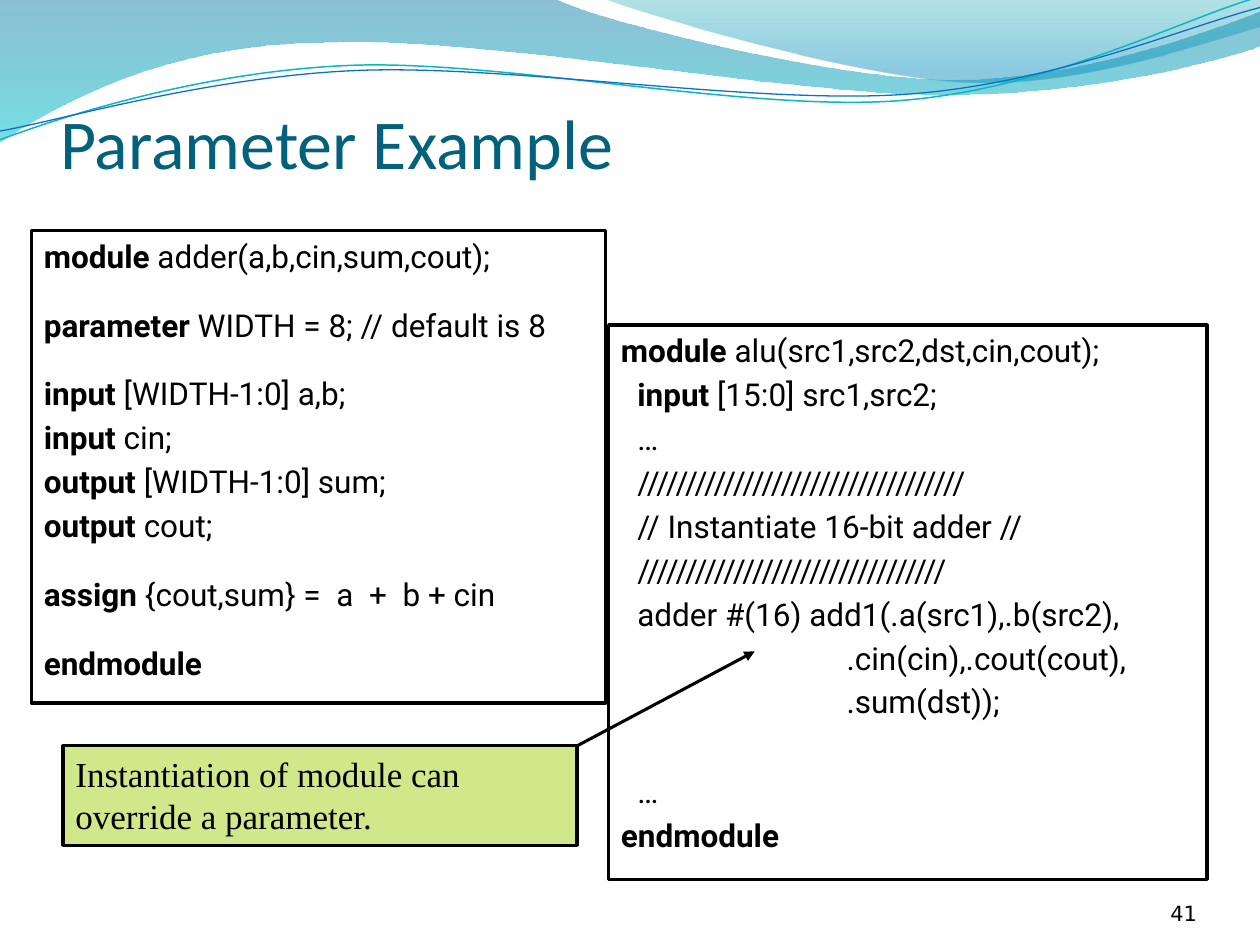
from lxml.etree import SubElement
from pptx import Presentation
from pptx.dml.color import RGBColor
from pptx.enum.shapes import MSO_CONNECTOR, MSO_SHAPE
from pptx.enum.text import MSO_ANCHOR as ANCHOR, PP_ALIGN as ALIGN
from pptx.oxml.ns import qn
from pptx.util import Inches, Pt

BLACK = "000000"
LINE_GAP, SECTION_GAP, BLANK_LINE = 3.5, 17.75, 29.75  # points before a line
INDENT, PORT_INDENT = 0.13, 1.79

# Code lines: bold keyword, rest, left indent, space before
ADDER = [
    ("module", " adder(a,b,cin,sum,cout);", 0, LINE_GAP),
    ("parameter", " WIDTH = 8; // default is 8", 0, SECTION_GAP),
    ("input", " [WIDTH-1:0] a,b;", 0, SECTION_GAP),
    ("input", " cin;", 0, LINE_GAP),
    ("output", " [WIDTH-1:0] sum;", 0, LINE_GAP),
    ("output", " cout;", 0, LINE_GAP),
    ("assign", " {cout,sum} =  a  +  b + cin", 0, SECTION_GAP),
    ("endmodule", "", 0, SECTION_GAP),
]
ALU = [
    ("module", " alu(src1,src2,dst,cin,cout);", 0, LINE_GAP),
    ("input", " [15:0] src1,src2;", INDENT, LINE_GAP),
    ("", "…", INDENT, LINE_GAP),
    ("", "/" * 34, INDENT, LINE_GAP),
    ("", "// Instantiate 16-bit adder //", INDENT, LINE_GAP),
    ("", "/" * 32, INDENT, LINE_GAP),
    ("", "adder #(16) add1(.a(src1),.b(src2),", INDENT, LINE_GAP),
    ("", ".cin(cin),.cout(cout),", PORT_INDENT, LINE_GAP),
    ("", ".sum(dst));", PORT_INDENT, LINE_GAP),
    ("", "…", INDENT, BLANK_LINE),
    ("endmodule", "", 0, LINE_GAP),
]

# Waves: a start point, then steps of one point (line) or three (Bezier curve)
BANDS = [
    ([(0, -0.01), [(4.4, -0.01)],
      [(4.76, 0.17), (6.64, 0.63), (7.58, 0.63)],
      [(8.53, 0.63), (9.58, 0.26), (10, 0.09)], [(10.01, 0.36)],
      [(9.83, 0.44), (8.7, 0.76), (7.46, 0.75)],
      [(6.22, 0.75), (3.82, 0.28), (2.57, 0.34)],
      [(1.29, 0.35), (0.46, 0.83), (-0.01, 1.13)], [(0, -0.01)]],
     [(0, "0074A1", 45), (1, "00C6CF", 55)]),
    ([(4.79, -0.01),
      [(5.09, 0.11), (6.82, 0.62), (7.69, 0.65)],
      [(8.56, 0.69), (9.61, 0.32), (10, 0.21)], [(10, 0)], [(4.79, -0.01)]],
     [(0, "00A1A9", 30), (0.8, "008BBF", 45)]),
]
STRANDS = [
    ([(0, 1.11), [(0.48, 0.93), (1.58, 0.57), (2.77, 0.52)],
      [(3.95, 0.47), (5.93, 0.89), (7.13, 0.8)],
      [(8.33, 0.71), (9.38, 0.15), (9.98, -0.02)]], "0AB8BF", 0.85),
    ([(0, 1.04), [(0.47, 0.96), (1.64, 0.61), (2.83, 0.56)],
      [(4.03, 0.51), (5.97, 0.83), (7.17, 0.75)],
      [(8.36, 0.67), (9.41, 0.21), (10, 0.06)]], "0F6FC6", 0.75),
]


def rgb(color):
    return RGBColor.from_string(color)


def set_alpha(color_element, percent):
    SubElement(color_element, qn("a:alpha"), val=str(percent * 1000))


def set_line(sp, color, width):
    sp.line.color.rgb = rgb(color)
    sp.line.width = Pt(width)


def add_wave(shapes, outline, close):
    """Draw straight segments, then merge each group of three into a curve."""
    start, *steps = outline
    builder = shapes.build_freeform(*map(Inches, start))
    builder.add_line_segments([(Inches(x), Inches(y)) for step in steps for x, y in step],
                              close=close)
    sp = builder.convert_to_shape()
    sp.shadow.inherit = False
    segments = iter(list(sp._element.iter(qn("a:lnTo"))))
    for step in steps:
        group = [next(segments) for _ in step]
        if len(group) == 3:
            group[0].tag = qn("a:cubicBezTo")
            for segment in group[1:]:
                group[0].append(segment[0])
                segment.getparent().remove(segment)
    return sp


def add_band(shapes, outline, stops):
    sp = add_wave(shapes, outline, True)
    sp.line.fill.background()
    sp.fill.gradient()
    sp.fill.gradient_angle = 270
    for stop, (position, color, _) in zip(sp.fill.gradient_stops, stops):
        stop.position = position
        stop.color.rgb = rgb(color)
    for element, (_, _, alpha) in zip(sp._element.iter(qn("a:srgbClr")), stops):
        set_alpha(element, alpha)


def add_strand(shapes, outline, color, width):
    sp = add_wave(shapes, outline, False)
    sp.fill.background()
    set_line(sp, color, width)


def style(r, font, size, color=BLACK, bold=False):
    r.font.name, r.font.size, r.font.bold = font, Pt(size), bold
    r.font.color.rgb = rgb(color)


def add_label(shapes, box, text, font, size, color, align):
    tf = shapes.add_textbox(*map(Inches, box)).text_frame
    tf.word_wrap, tf.vertical_anchor = True, ANCHOR.BOTTOM
    tf.margin_left = tf.margin_right = tf.margin_top = tf.margin_bottom = 0
    p = tf.paragraphs[0]
    p.text, p.alignment = text, align
    style(p.runs[0], font, size, color)


def add_box(shapes, box):
    sp = shapes.add_shape(MSO_SHAPE.RECTANGLE, *map(Inches, box))
    sp.shadow.inherit = False
    sp.fill.background()
    set_line(sp, BLACK, 1.75)
    sp.text_frame.word_wrap = True
    sp.text_frame.vertical_anchor = ANCHOR.TOP
    return sp


def add_code(shapes, box, lines):
    tf = add_box(shapes, box).text_frame
    for i, (keyword, rest, indent, gap) in enumerate(lines):
        p = tf.add_paragraph() if i else tf.paragraphs[0]
        p.alignment, p.space_before = ALIGN.LEFT, Pt(gap)
        p._p.get_or_add_pPr().set("marL", str(Inches(indent)))
        for text, bold in ((keyword, True), (rest, False)):
            if text:
                r = p.add_run()
                r.text = text
                style(r, "Roboto", 18, bold=bold)


def add_note(shapes, box, text):
    sp = add_box(shapes, box)
    sp.fill.solid()
    sp.fill.fore_color.rgb = rgb("99CC00")
    set_alpha(next(sp._element.spPr.iter(qn("a:srgbClr"))), 46)
    p = sp.text_frame.paragraphs[0]
    p.text, p.alignment, p.space_before = text, ALIGN.LEFT, Pt(LINE_GAP)
    style(p.runs[0], "Times New Roman", 20)


def add_arrow(shapes, *ends):
    arrow = shapes.add_connector(MSO_CONNECTOR.STRAIGHT, *map(Inches, ends))
    set_line(arrow, BLACK, 1.75)
    spPr = arrow._element.spPr
    SubElement(spPr.find(qn("a:ln")), qn("a:tailEnd"), type="triangle")
    SubElement(spPr, qn("a:effectLst"))


def main():
    prs = Presentation()
    prs.slide_width, prs.slide_height = Inches(10), Inches(7.5)
    shapes = prs.slides.add_slide(prs.slide_layouts[6]).shapes
    for band in BANDS:
        add_band(shapes, *band)
    for strand in STRANDS:
        add_strand(shapes, *strand)
    add_label(shapes, (0.48, 0.21, 9, 1.25), "Parameter Example",
              "Calibri", 40, "04617B", ALIGN.LEFT)
    add_label(shapes, (8.67, 6.95, 0.83, 0.4), "41", "DejaVu Sans", 12, BLACK, ALIGN.RIGHT)
    add_code(shapes, (0.25, 1.83, 4.56, 3.75), ADDER)
    add_code(shapes, (4.83, 2.58, 4.75, 4.4), ALU)
    add_note(shapes, (0.5, 5.92, 4.08, 0.79),
             "Instantiation of module can override a parameter.")
    add_arrow(shapes, 4.58, 5.92, 5.99, 5.17)
    prs.save("out.pptx")


if __name__ == "__main__":
    main()
